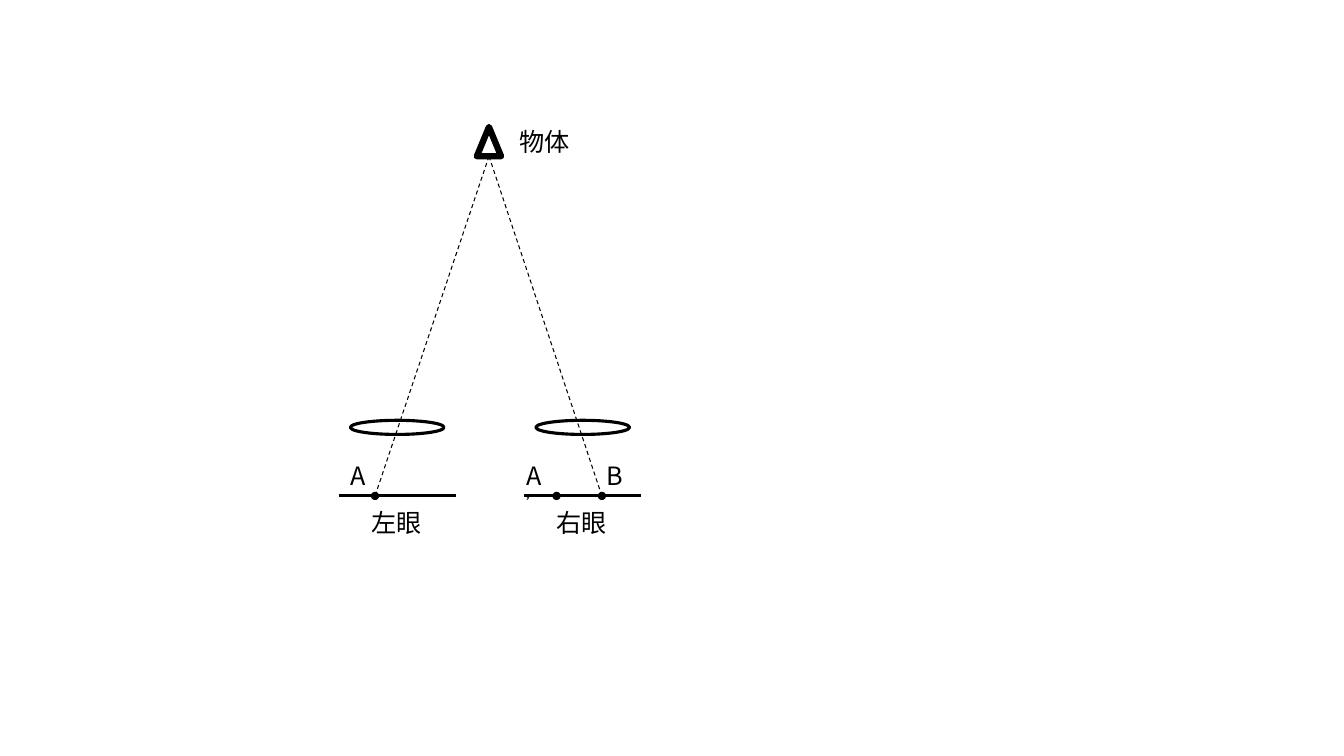
import pptx
import pptx.dml.color
import pptx.enum.dml
import pptx.enum.shapes
import pptx.enum.text
import pptx.oxml.ns
import pptx.util
from lxml import etree

Inches = pptx.util.Inches
Pt = pptx.util.Pt
SHAPE = pptx.enum.shapes.MSO_SHAPE
ALIGN = pptx.enum.text.PP_ALIGN
qn = pptx.oxml.ns.qn

BLACK = pptx.dml.color.RGBColor(0, 0, 0)
FONT = "Noto Sans CJK SC"

OBJECT = (4.73, 1.26, 0.24, 0.29)
APEX = (4.85, 1.55)
RETINA_Y, RETINA_W = 4.92, 1.16
LENS_Y, LENS_W, LENS_H = 4.17, 0.93, 0.14
EYES = [
    {"name": "左眼", "retina": 3.36, "label": 3.58, "image": 3.72},
    {"name": "右眼", "retina": 5.2, "label": 5.41, "image": 5.97},
]
A_PRIME_DOT = (5.45, 5.52)
POINT_Y = 4.52
POINTS = [("A", "", 3.38, 0.36), ("A", "’", 5.12, 0.41), ("B", "", 5.92, 0.34)]

prs = pptx.Presentation()
prs.slide_width = Inches(13.33)
prs.slide_height = Inches(7.5)
slide = prs.slides.add_slide(prs.slide_layouts[6])


def add_outline(kind, x, y, w, h, weight):
    sp = slide.shapes.add_shape(kind, Inches(x), Inches(y), Inches(w), Inches(h))
    sp.shadow.inherit = False
    sp.fill.background()
    sp.line.color.rgb = BLACK
    sp.line.width = Pt(weight)


def add_line(x1, y1, x2, y2, weight, dashed=False, dot=False):
    cx = slide.shapes.add_connector(
        pptx.enum.shapes.MSO_CONNECTOR.STRAIGHT,
        Inches(x1), Inches(y1), Inches(x2), Inches(y2))
    cx.line.color.rgb = BLACK
    cx.line.width = Pt(weight)
    if dashed:
        cx.line.dash_style = pptx.enum.dml.MSO_LINE.DASH
    if dot:
        etree.SubElement(cx.line._get_or_add_ln(), qn("a:tailEnd"), type="oval")
    etree.SubElement(cx._element.spPr, qn("a:effectLst"))


def style_run(r):
    r.font.size = Pt(18)
    r.font.name = FONT
    r.font.color.rgb = BLACK
    etree.SubElement(r._r.get_or_add_rPr(), qn("a:ea"), typeface=FONT)


def add_label(text, x, y, w, align=ALIGN.LEFT, mark=""):
    tf = slide.shapes.add_textbox(Inches(x), Inches(y), Inches(w), Inches(0.4)).text_frame
    tf.word_wrap = False
    tf.auto_size = pptx.enum.text.MSO_AUTO_SIZE.SHAPE_TO_FIT_TEXT
    p = tf.paragraphs[0]
    p.text = text
    p.alignment = align
    style_run(p.runs[0])
    if mark:
        r = p.add_run()
        r.text = mark
        style_run(r)
        r.font.bold = True
        r._r.get_or_add_rPr().set("baseline", "30000")


add_outline(SHAPE.ISOSCELES_TRIANGLE, *OBJECT, 4.5)
add_label("物体", 5.05, 1.2, 0.71)

for eye in EYES:
    left = eye["retina"]
    lens_x = left + (RETINA_W - LENS_W) / 2
    add_outline(SHAPE.OVAL, lens_x, LENS_Y, LENS_W, LENS_H, 2.25)
    add_line(left, RETINA_Y, left + RETINA_W, RETINA_Y, 2.25)
    add_line(*APEX, eye["image"], RETINA_Y, 0.75, dashed=True, dot=True)
    add_label(eye["name"], eye["label"], 4.98, 0.71, ALIGN.CENTER)

for text, mark, x, w in POINTS:
    add_label(text, x, POINT_Y, w, mark=mark)
add_line(A_PRIME_DOT[0], RETINA_Y, A_PRIME_DOT[1], RETINA_Y, 0.5, dot=True)

prs.save("out.pptx")
